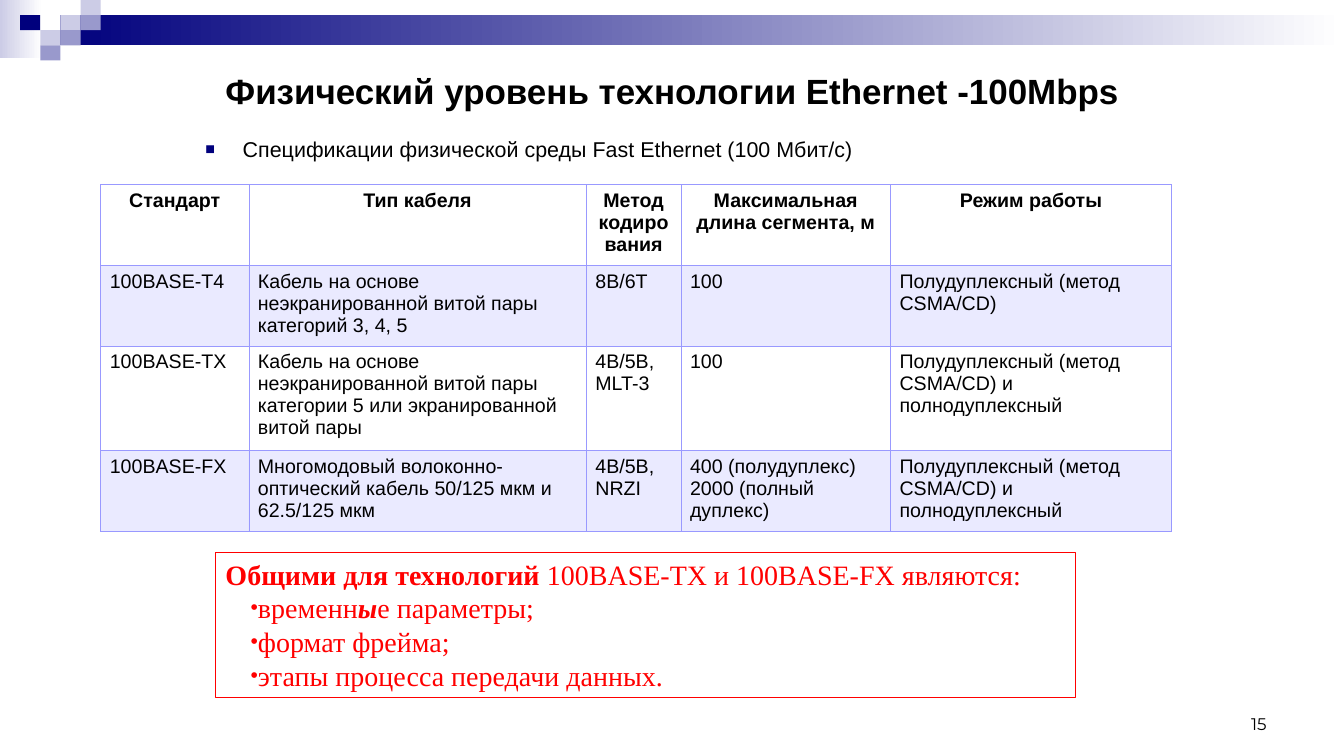
from dataclasses import dataclass

from lxml import etree
from pptx import Presentation
from pptx import util as u
from pptx.dml.color import RGBColor
from pptx.enum import shapes, text
from pptx.oxml import ns

PX = u.Inches(1) // 100
ALIGN = text.PP_ALIGN


@dataclass(frozen=True)
class Theme:
    ink: str = "000000"
    navy: str = "00007D"
    mid: str = "9999CC"
    pale: str = "CCCCE6"
    white: str = "FFFFFF"
    grid: str = "9999FF"
    red: str = "FF0000"
    sans: str = "Arial"
    serif: str = "Times New Roman"
    number: str = "Montserrat"
    title_size: float = 25
    lead_size: float = 15.3
    table_size: float = 14
    note_size: float = 20
    number_size: float = 12


THEME = Theme()

HEADERS = ["Стандарт", "Тип кабеля", "Метод кодирования",
           "Максимальная длина сегмента, м", "Режим работы"]
STANDARDS = [
    ["100BASE-T4", "Кабель на основе неэкранированной витой пары категорий 3, 4, 5",
     "8B/6T", "100", "Полудуплексный (метод CSMA/CD)"],
    ["100BASE-TX",
     "Кабель на основе неэкранированной витой пары категории 5 или экранированной витой пары",
     "4B/5B, MLT-3", "100", "Полудуплексный (метод CSMA/CD) и полнодуплексный"],
    ["100BASE-FX", "Многомодовый волоконно-оптический кабель 50/125 мкм и 62.5/125 мкм",
     "4B/5B, NRZI", "400 (полудуплекс)\n2000 (полный дуплекс)",
     "Полудуплексный (метод CSMA/CD) и полнодуплексный"],
]
COLUMNS = [147, 335, 94, 208, 279]
ROWS = [79, 79, 102, 79]
COMMON = [
    [("Общими для технологий", True, False),
     (" 100BASE-TX и 100BASE-FX являются:", False, False)],
    [("временн", False, False), ("ы", True, True), ("е параметры;", False, False)],
    [("формат фрейма;", False, False)],
    [("этапы процесса передачи данных.", False, False)],
]


def px(*lengths):
    return [length * PX for length in lengths]


def color(value):
    return RGBColor.from_string(value)


def add_element(parent, tag, **attributes):
    return etree.SubElement(parent, ns.qn(tag), attributes)


def style(font, name, size, ink, bold=False, italic=False):
    font.name, font.size, font.bold, font.italic = name, u.Pt(size), bold, italic
    font.color.rgb = color(ink)


def add_bullet(para, symbol, ink, margin, indent):
    properties = para._p.get_or_add_pPr()
    properties.set("marL", str(margin * PX))
    properties.set("indent", str(indent * PX))
    add_element(add_element(properties, "a:buClr"), "a:srgbClr", val=ink)
    add_element(properties, "a:buSzPct", val="75000")
    add_element(properties, "a:buFont", typeface=THEME.sans)
    add_element(properties, "a:buChar", char=symbol)


def add_label(page, box, wording, name, size, bold=False, align=ALIGN.LEFT,
              anchor=text.MSO_ANCHOR.TOP):
    label = page.shapes.add_textbox(*px(*box))
    frame = label.text_frame
    frame.text, frame.word_wrap, frame.vertical_anchor = wording, True, anchor
    para = frame.paragraphs[0]
    para.alignment = align
    style(para.runs[0].font, name, size, THEME.ink, bold)
    return para


def add_tile(page, box, first, last=None):
    tile = page.shapes.add_shape(shapes.MSO_SHAPE.RECTANGLE, *px(*box))
    tile.shadow.inherit = False
    tile.line.fill.background()
    if last is None:
        tile.fill.solid()
        tile.fill.fore_color.rgb = color(first)
        return
    tile.fill.gradient()
    tile.fill.gradient_angle = 0
    for stop, value, place in zip(tile.fill.gradient_stops, (first, last), (0, 1)):
        stop.color.rgb = color(value)
        stop.position = place


def add_banner(page, box):
    left, top, width, height = box
    add_tile(page, (left, top, 42, height - 2), THEME.pale, THEME.white)
    add_tile(page, (left + 60, top + 15, width - 60, 30), THEME.navy, THEME.white)
    tiles = [(3, 1, THEME.pale), (4, 0, THEME.pale), (4, 1, THEME.mid), (2, 2, THEME.pale),
             (1, 1, THEME.navy), (3, 2, THEME.mid), (2, 3, THEME.mid)]
    for column, row, ink in tiles:
        add_tile(page, (left + column * 20, top + row * 15, 20, 15), ink)


def add_border(cell, side, width):
    line = add_element(cell._tc.get_or_add_tcPr(), f"a:{side}", w=str(u.Pt(width)))
    add_element(add_element(line, "a:solidFill"), "a:srgbClr", val=THEME.grid)


def fill_cell(cell, wording, row):
    header = row == 0
    cell.text_frame.text = wording
    cell.margin_left, cell.margin_right, cell.margin_top, cell.margin_bottom = px(9, 9, 5, 5)
    for para in cell.text_frame.paragraphs:
        para.alignment = ALIGN.CENTER if header else ALIGN.LEFT
        style(para.runs[0].font, THEME.sans, THEME.table_size, THEME.ink, header)
    heavy = {0: "lnB", 1: "lnT"}.get(row)
    for side in ("lnL", "lnR", "lnT", "lnB"):
        add_border(cell, side, 0.96 if side == heavy else 0.45)
    if row % 2 == 0:
        cell.fill.background()
        return
    cell.fill.solid()
    cell.fill.fore_color.rgb = color(THEME.grid)
    tint = cell._tc.tcPr.find(ns.qn("a:solidFill")).find(ns.qn("a:srgbClr"))
    add_element(tint, "a:alpha", val="20000")


def add_standards(page, box):
    table = page.shapes.add_table(len(ROWS), len(COLUMNS), *px(*box)).table
    table.first_row = table.horz_banding = False
    for column, width in zip(table.columns, COLUMNS):
        column.width = width * PX
    for row, height in zip(table.rows, ROWS):
        row.height = height * PX
    for row, wordings in enumerate([HEADERS, *STANDARDS]):
        for column, wording in enumerate(wordings):
            fill_cell(table.cell(row, column), wording, row)


def add_common(page, box):
    panel = page.shapes.add_shape(shapes.MSO_SHAPE.RECTANGLE, *px(*box))
    panel.shadow.inherit = False
    panel.fill.background()
    panel.line.color.rgb = color(THEME.red)
    panel.line.width = u.Pt(0.75)
    frame = panel.text_frame
    frame.word_wrap, frame.vertical_anchor = True, text.MSO_ANCHOR.TOP
    for index, spans in enumerate(COMMON):
        para = frame.add_paragraph() if index else frame.paragraphs[0]
        para.alignment = ALIGN.JUSTIFY
        if index:
            add_bullet(para, "•", THEME.red, 0, 25)
        for wording, bold, italic in spans:
            span = para.add_run()
            span.text = wording
            style(span.font, THEME.serif, THEME.note_size, THEME.red, bold, italic)


def build_slide(page, width):
    add_banner(page, (0, 0, width, 60))
    add_label(page, (214, 62, 933, 56), "Физический уровень технологии Ethernet -100Mbps",
              THEME.sans, THEME.title_size, bold=True, anchor=text.MSO_ANCHOR.MIDDLE)
    lead = add_label(page, (194, 130, 941, 35),
                     "Спецификации физической среды Fast Ethernet (100 Мбит/с)",
                     THEME.sans, THEME.lead_size, align=ALIGN.JUSTIFY)
    add_bullet(lead, "■", THEME.navy, 37, -37)
    add_standards(page, (100, 183, sum(COLUMNS), sum(ROWS)))
    add_common(page, (214, 548, 854, 144))
    add_label(page, (956, 683, 311, 50), "15", THEME.number, THEME.number_size,
              align=ALIGN.RIGHT, anchor=text.MSO_ANCHOR.BOTTOM)


def main():
    deck = Presentation()
    deck.slide_width, deck.slide_height = px(1334, 750)
    page = deck.slides.add_slide(deck.slide_layouts[6])
    build_slide(page, 1334)
    deck.save("out.pptx")


if __name__ == "__main__":
    main()
